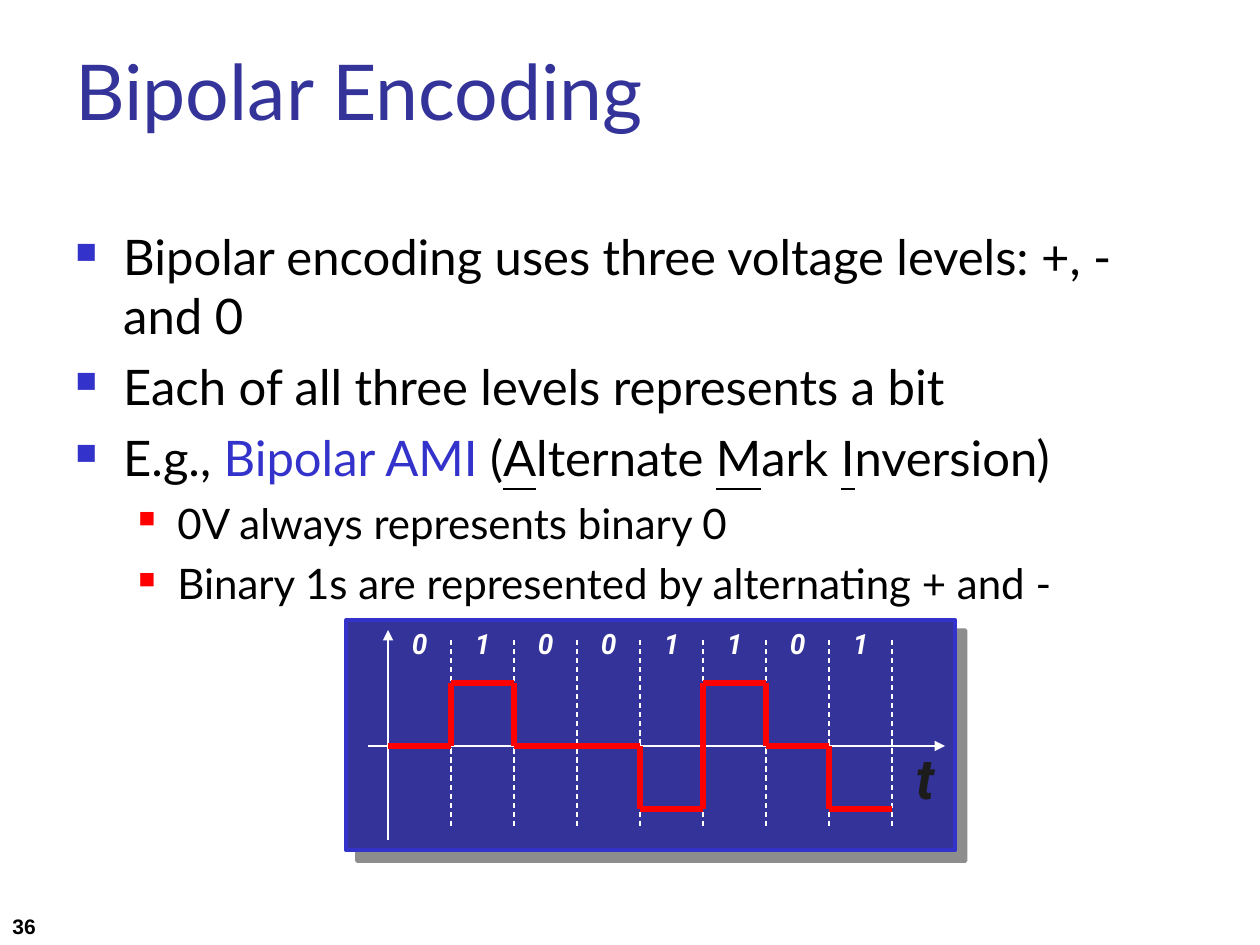
from itertools import pairwise

from lxml.etree import SubElement
from pptx import Presentation
from pptx.dml.color import RGBColor as RGB
from pptx.enum.dml import MSO_LINE as Dash
from pptx.enum.shapes import MSO_CONNECTOR as Connector, MSO_SHAPE as Shape
from pptx.enum.text import MSO_ANCHOR as Anchor, PP_ALIGN as Align
from pptx.oxml.ns import qn
from pptx.util import Inches, Pt

THEME = {
    "title": {"name": "Lato", "size": Pt(44), "color": "333399"},
    "point": {"name": "Lato", "size": Pt(28), "color": "000000"},
    "term": {"name": "Lato", "size": Pt(28), "color": "3333CC"},
    "initial": {"name": "Lato", "size": Pt(28), "color": "000000", "underline": True},
    "detail": {"name": "Lato", "size": Pt(24), "color": "000000"},
    "number": {"name": "Arial", "size": Pt(12), "color": "000000", "bold": True},
    "bit": {"name": "Roboto", "size": Pt(16), "color": "FFFFFF", "bold": True, "italic": True},
    "time": {"name": "Roboto", "size": Pt(32), "color": "1C1C1C", "bold": True, "italic": True},
    "panel": "333399", "border": "3333CC", "shadow": "1C1C1C",
    "axis": "FFFFFF", "signal": "FF0000",
}
BULLETS = {  # level: indent, hanging, space before, colour, size in percent
    0: (0.38, 0.38, 7, "3333CC", 60),
    1: (0.81, 0.31, 6, "FF0000", 55),
}
CELL = 0.5                     # one bit wide, one voltage level high
ORIGIN_X, ORIGIN_Y = 3.08, 5.92
BITS = "01001101"


def write(paragraph, text, style):
    run = paragraph.add_run()
    run.text = text
    for key, value in THEME[style].items():
        if key == "color":
            run.font.color.rgb = RGB.from_string(value)
        else:
            setattr(run.font, key, value)


def draw_line(start, end, color, width):
    line = diagram.shapes.add_connector(
        Connector.STRAIGHT, *(Inches(v) for v in (*start, *end)))
    line.line.color.rgb = RGB.from_string(color)
    line.line.width = Pt(width)
    SubElement(line._element.spPr, qn("a:effectLst"))
    return line


deck = Presentation()
deck.slide_width, deck.slide_height = Inches(10), Inches(7.5)
slide = deck.slides.add_slide(deck.slide_layouts[6])

# Page number and title
page = slide.shapes.add_textbox(0, Inches(7), Inches(2.08), Inches(0.5)).text_frame
page.vertical_anchor = Anchor.BOTTOM
write(page.paragraphs[0], "36", "number")
title = slide.shapes.add_textbox(Inches(0.5), Inches(0.3), Inches(9), Inches(1.25)).text_frame
title.word_wrap = True
write(title.paragraphs[0], "Bipolar Encoding", "title")

# Bulleted points: level, then text and style of each run
points = [
    (0, [("Bipolar encoding uses three voltage levels: +, - and 0", "point")]),
    (0, [("Each of all three levels represents a bit", "point")]),
    (0, [("E.g., ", "point"), ("Bipolar AMI", "term"), (" (", "point"),
         ("A", "initial"), ("lternate ", "point"), ("M", "initial"), ("ark ", "point"),
         ("I", "initial"), ("nversion)", "point")]),
    (1, [("0V always represents binary 0", "detail")]),
    (1, [("Binary 1s are represented by alternating + and -", "detail")]),
]
body = slide.shapes.add_textbox(Inches(0.5), Inches(1.75), Inches(9), Inches(4.95)).text_frame
body.word_wrap = True
for row, (level, runs) in enumerate(points):
    point = body.add_paragraph() if row else body.paragraphs[0]
    indent, hanging, before, color, percent = BULLETS[level]
    props = point._p.get_or_add_pPr()
    props.set("marL", str(Inches(indent)))
    props.set("indent", str(-Inches(hanging)))
    SubElement(SubElement(props, qn("a:buClr")), qn("a:srgbClr"), val=color)
    SubElement(props, qn("a:buSzPct"), val=str(percent * 1000))
    SubElement(props, qn("a:buChar"), char="■")
    point.level = level
    if row:
        point.space_before = Pt(before)
    for text, style in runs:
        write(point, text, style)

# Diagram panel with its shadow
diagram = slide.shapes.add_group_shape()
panel = diagram.shapes.add_shape(
    Shape.RECTANGLE, Inches(2.75), Inches(4.92), Inches(4.83), Inches(1.83))
panel.fill.solid()
panel.fill.fore_color.rgb = RGB.from_string(THEME["panel"])
panel.line.color.rgb = RGB.from_string(THEME["border"])
panel.line.width = Pt(2.25)
effects = SubElement(panel._element.spPr, qn("a:effectLst"))
shadow = SubElement(effects, qn("a:outerShdw"), blurRad="0", dist=str(Pt(8.5)),
                    dir=str(45 * 60000), algn="ctr", rotWithShape="0")
shade = SubElement(shadow, qn("a:srgbClr"), val=THEME["shadow"])
SubElement(shade, qn("a:alpha"), val="50000")

# Voltage and time axes
for start, end in [((ORIGIN_X, 6.67), (ORIGIN_X, 5)), ((2.92, ORIGIN_Y), (7.5, ORIGIN_Y))]:
    axis = draw_line(start, end, THEME["axis"], 1.5)
    SubElement(axis.line._get_or_add_ln(), qn("a:tailEnd"), type="triangle")
time = diagram.shapes.add_textbox(Inches(7.17), Inches(5.85), Inches(0.38), Inches(0.64)).text_frame
time.word_wrap = False
write(time.paragraphs[0], "t", "time")

# Bit labels, each closed by a dashed divider
for column, bit in enumerate(BITS):
    left = ORIGIN_X + column * CELL
    label = diagram.shapes.add_textbox(
        Inches(left), Inches(4.92), Inches(CELL), Inches(0.37)).text_frame
    label.word_wrap = True
    label.paragraphs[0].alignment = Align.CENTER
    write(label.paragraphs[0], bit, "bit")
    divider = draw_line((left + CELL, 5.08), (left + CELL, 6.58), THEME["axis"], 0.75)
    divider.line.dash_style = Dash.DASH

# AMI signal: each 1 takes the opposite polarity of the 1 before it
heights, polarity = [], 1
for bit in BITS:
    heights.append(ORIGIN_Y - int(bit) * polarity * CELL)
    if bit == "1":
        polarity = -polarity
for column, height in enumerate(heights):
    left = ORIGIN_X + column * CELL
    draw_line((left, height), (left + CELL, height), THEME["signal"], 3)
for column, (before, after) in enumerate(pairwise(heights), start=1):
    if before != after:
        edge = ORIGIN_X + column * CELL
        draw_line((edge, before), (edge, after), THEME["signal"], 3)

deck.save("out.pptx")
